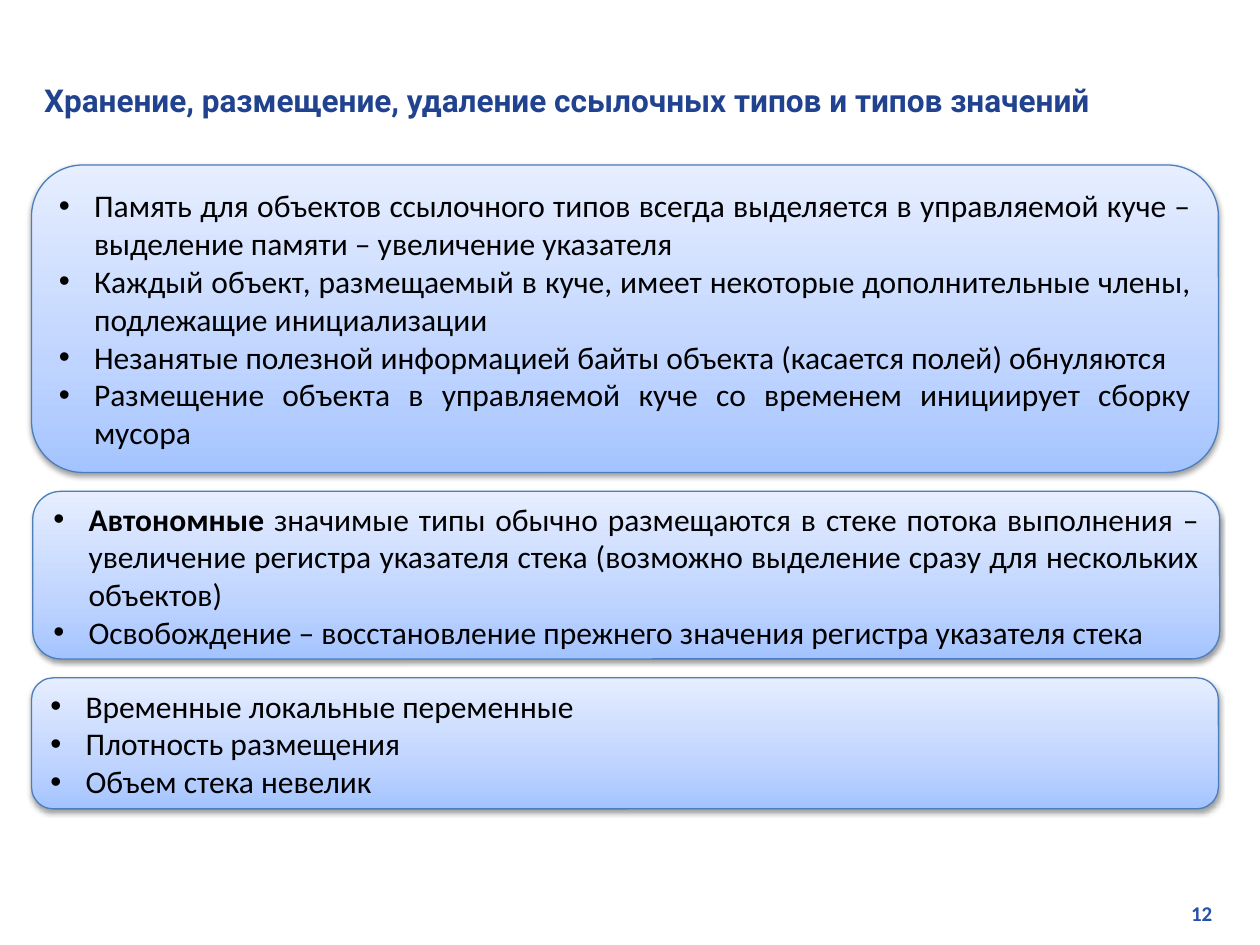
"""Build a slide on how reference and value types are stored, placed and removed."""
from lxml import etree
from pptx import Presentation
from pptx.dml.color import RGBColor
from pptx.enum.shapes import MSO_SHAPE
from pptx.enum.text import MSO_ANCHOR, MSO_AUTO_SIZE, PP_ALIGN
from pptx.oxml import parse_xml
from pptx.util import Inches, Pt

ROUNDED = MSO_SHAPE.ROUNDED_RECTANGLE
LEFT, RIGHT, JUSTIFY = PP_ALIGN.LEFT, PP_ALIGN.RIGHT, PP_ALIGN.JUSTIFY
TOP, MIDDLE = MSO_ANCHOR.TOP, MSO_ANCHOR.MIDDLE
NO_FIT, GROW = MSO_AUTO_SIZE.NONE, MSO_AUTO_SIZE.SHAPE_TO_FIT_TEXT
DRAWING = "http://schemas.openxmlformats.org/drawingml/2006/main"

COLORS = {
    "title": "21438F",
    "number": "2750AB",
    "text": "000000",
    "border": "4B7EBC",
    "shadow": "000000",
    "low": "A4C4FF",
    "middle": "BFD4FF",
    "high": "E6EEFF",
}
GRADIENT = [(0, "low"), (35, "middle"), (100, "high")]

TITLE = "Хранение, размещение, удаление ссылочных типов и типов значений"
PANELS = [
    (0.25, 1.31, 2.44, [
        [("Память для объектов ссылочного типов всегда выделяется в управляемой куче – "
          "выделение памяти – увеличение указателя", False)],
        [("Каждый объект, размещаемый в куче, имеет некоторые дополнительные члены, "
          "подлежащие инициализации", False)],
        [("Незанятые полезной информацией байты объекта (касается полей) обнуляются", False)],
        [("Размещение объекта в управляемой куче со временем инициирует сборку мусора", False)],
    ]),
    (0.26, 3.9, 1.33, [
        [("Автономные", True),
         (" значимые типы обычно размещаются в стеке потока выполнения – увеличение регистра "
          "указателя стека (возможно выделение сразу для нескольких объектов)", False)],
        [("Освобождение – восстановление прежнего значения регистра указателя стека", False)],
    ]),
    (0.25, 5.38, 1.04, [
        [("Временные локальные переменные", False)],
        [("Плотность размещения", False)],
        [("Объем стека невелик", False)],
    ]),
]


def add_span(para, text, size=18, font="Calibri", color="text", bold=False):
    """Add formatted text to a paragraph."""
    span = para.add_run()
    span.text = text
    span.font.size = Pt(size)
    span.font.name = font
    span.font.bold = bold
    span.font.color.rgb = RGBColor.from_string(COLORS[color])


class SlideBuilder:
    """Hold the slide style and the current page."""

    def __init__(self, deck):
        """Start a page from the title-only layout."""
        self.page = deck.slides.add_slide(deck.slide_layouts[5])
        self.panel_width = Inches(9.42)
        self.indent = Inches(0.28)

    def title(self, text):
        """Place and format the title."""
        box = self.page.shapes.title
        box.left, box.top = Inches(0.25), Inches(0.59)
        box.width, box.height = Inches(9.46), Inches(0.35)
        frame = box.text_frame
        frame.auto_size = NO_FIT
        frame.vertical_anchor = TOP
        para = frame.paragraphs[0]
        para.alignment = LEFT
        add_span(para, text, font="Roboto", color="title", bold=True)

    def number(self, text):
        """Add the page number."""
        box = self.page.shapes.add_textbox(Inches(7.6), Inches(7.1), Inches(2.12), Inches(0.3))
        frame = box.text_frame
        frame.word_wrap = True
        frame.auto_size = GROW
        para = frame.paragraphs[0]
        para.alignment = RIGHT
        add_span(para, text, size=12, color="number", bold=True)

    def panel(self, left, top, height, items):
        """Add a rounded panel with a bulleted list."""
        box = self.page.shapes.add_shape(
            ROUNDED, Inches(left), Inches(top), self.panel_width, Inches(height))
        self.paint(box)
        frame = box.text_frame
        frame.word_wrap = True
        frame.vertical_anchor = MIDDLE
        for index, item in enumerate(items):
            para = frame.add_paragraph() if index else frame.paragraphs[0]
            para.alignment = JUSTIFY
            self.bullet(para)
            for text, bold in item:
                add_span(para, text, bold=bold)

    def paint(self, box):
        """Give a panel its gradient, border and shadow."""
        box.line.color.rgb = RGBColor.from_string(COLORS["border"])
        box.line.width = Pt(0.75)
        stops = "".join(
            f'<a:gs pos="{place * 1000}"><a:srgbClr val="{COLORS[name]}"/></a:gs>'
            for place, name in GRADIENT)
        properties = box.line._ln.getparent()
        box.line._ln.addprevious(parse_xml(
            f'<a:gradFill xmlns:a="{DRAWING}" rotWithShape="1"><a:gsLst>{stops}</a:gsLst>'
            '<a:lin ang="16200000" scaled="0"/></a:gradFill>'))
        properties.append(parse_xml(
            f'<a:effectLst xmlns:a="{DRAWING}"><a:outerShdw blurRad="{Pt(3.1)}" '
            f'dist="{Pt(1.6)}" dir="5400000" rotWithShape="0">'
            f'<a:srgbClr val="{COLORS["shadow"]}"><a:alpha val="38000"/></a:srgbClr>'
            '</a:outerShdw></a:effectLst>'))

    def bullet(self, para):
        """Give a paragraph a hanging bullet."""
        properties = para._p.get_or_add_pPr()
        properties.set("marL", str(self.indent))
        properties.set("indent", str(-self.indent))
        etree.SubElement(properties, f"{{{DRAWING}}}buFont", typeface="Arial")
        etree.SubElement(properties, f"{{{DRAWING}}}buChar", char="•")


def main():
    """Build and save the deck."""
    deck = Presentation()
    deck.slide_width, deck.slide_height = Inches(10), Inches(7.5)
    builder = SlideBuilder(deck)
    builder.number("12")
    builder.title(TITLE)
    for panel in PANELS:
        builder.panel(*panel)
    deck.save("out.pptx")


if __name__ == "__main__":
    main()
